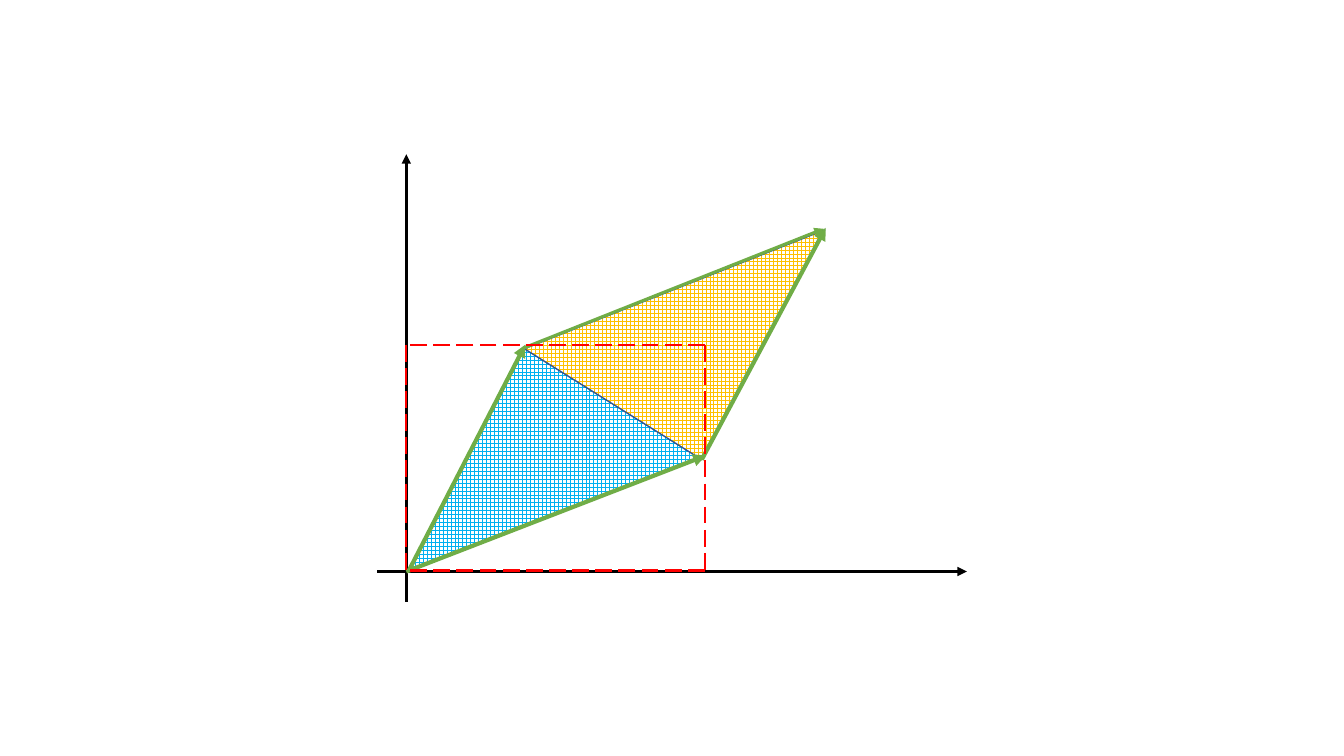
import pptx
import pptx.util
import pptx.dml.color
import pptx.enum.dml
import pptx.enum.shapes
import pptx.oxml
import pptx.oxml.ns

Inches = pptx.util.Inches
COLORS = {
    "blue": "00B0F0",
    "gold": "FFC000",
    "white": "FFFFFF",
    "edge": "325491",
    "black": "000000",
    "green": "70AD47",
    "red": "FF0000",
}
HALVES = [
    ("blue", [(6.95, 4.54), (4.05, 5.66), (5.2, 3.45)]),
    ("gold", [(5.2, 3.46), (8.18, 2.28), (6.96, 4.56)]),
]
ARROWS = [
    ((3.74, 5.67), (9.59, 5.67), "black", 2.25),
    ((4.03, 5.97), (4.03, 1.53), "black", 2.25),
    ((4.03, 5.67), (7, 4.52), "green", 3),
    ((4.05, 5.67), (5.21, 3.42), "green", 3),
    ((5.2, 3.45), (8.17, 2.27), "green", 2.25),
    ((6.96, 4.56), (8.19, 2.26), "green", 3),
]
DASHES = [
    ((6.99, 3.42), (4.05, 3.42)),
    ((6.99, 3.42), (6.99, 5.67)),
    ((4.03, 3.42), (4.03, 5.67)),
    ((6.99, 5.66), (4.05, 5.66)),
]


def tint(name):
    return pptx.dml.color.RGBColor.from_string(COLORS[name])


def emu(point):
    return tuple(Inches(value) for value in point)


def add_half(slide, color, points):
    start, *rest = [emu(point) for point in points]
    pen = slide.shapes.build_freeform(*start)
    pen.add_line_segments(rest, close=True)
    half = pen.convert_to_shape()
    half.shadow.inherit = False
    half.fill.patterned()
    half.fill.pattern = pptx.enum.dml.MSO_PATTERN.LARGE_GRID
    half.fill.fore_color.rgb = tint(color)
    half.fill.back_color.rgb = tint("white")
    half.line.color.rgb = tint("edge")
    half.line.width = pptx.util.Pt(1)


def add_line(slide, start, end, color, width):
    kind = pptx.enum.shapes.MSO_CONNECTOR.STRAIGHT
    line = slide.shapes.add_connector(kind, *emu(start), *emu(end))
    line.line.color.rgb = tint(color)
    line.line.width = pptx.util.Pt(width)
    props = line._element.spPr
    props.append(pptx.oxml.parse_xml(
        f'<a:effectLst {pptx.oxml.ns.nsdecls("a")}/>'))
    return line


def main():
    deck = pptx.Presentation()
    deck.slide_width, deck.slide_height = Inches(13.33), Inches(7.5)
    slide = deck.slides.add_slide(deck.slide_layouts[6])
    for color, points in HALVES:
        add_half(slide, color, points)
    for start, end, color, width in ARROWS:
        arrow = add_line(slide, start, end, color, width)
        arrow.line._get_or_add_ln().append(pptx.oxml.parse_xml(
            f'<a:tailEnd {pptx.oxml.ns.nsdecls("a")} type="triangle"/>'))
    for start, end in DASHES:
        dash = add_line(slide, start, end, "red", 1.5)
        dash.line.dash_style = pptx.enum.dml.MSO_LINE.LONG_DASH
    deck.save("out.pptx")


if __name__ == "__main__":
    main()
